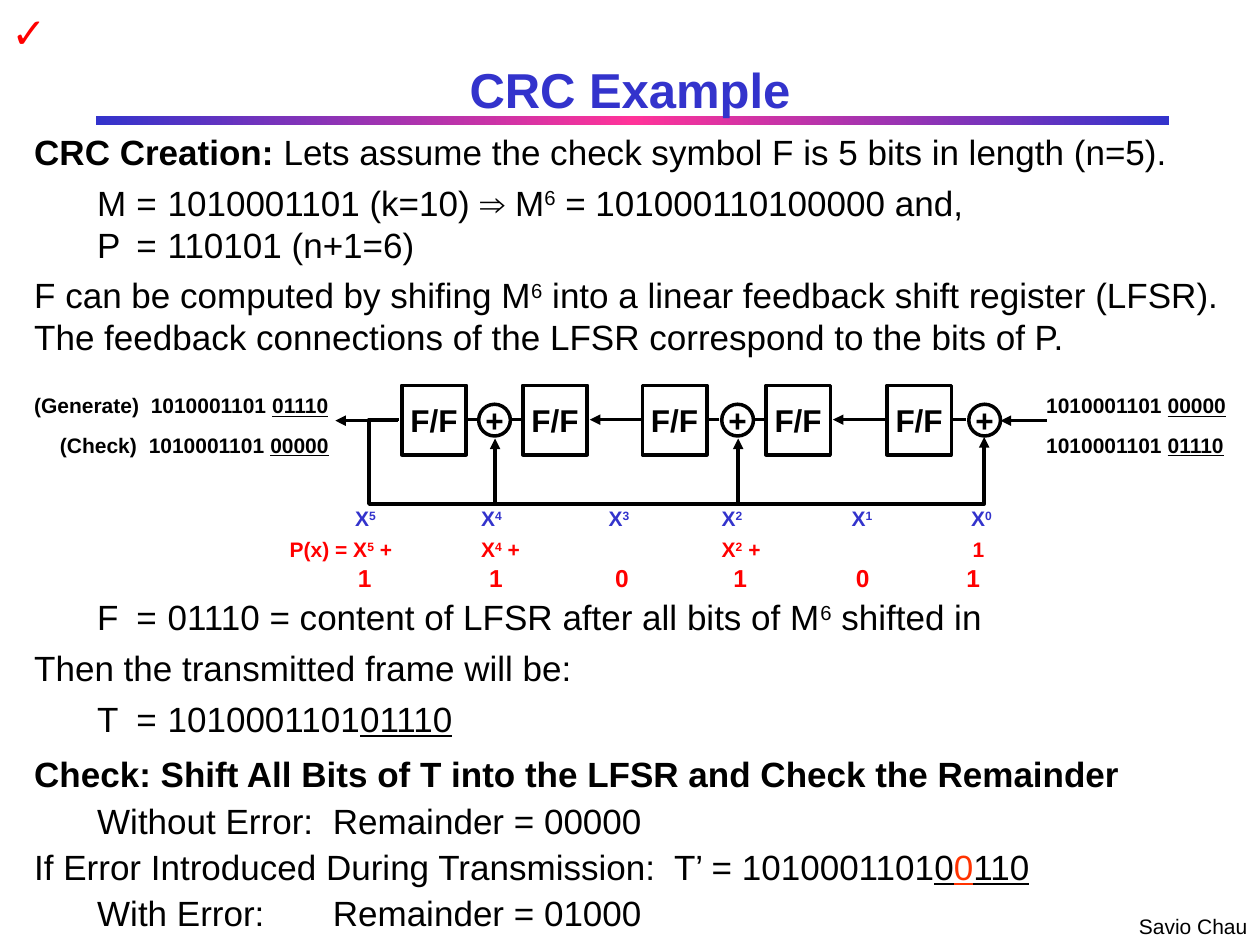
"""Build the CRC example slide with its linear feedback shift register diagram."""
from dataclasses import dataclass

from lxml import etree
from pptx import Presentation
from pptx.dml.color import RGBColor
from pptx.enum.shapes import MSO_CONNECTOR, MSO_SHAPE
from pptx.enum.text import MSO_ANCHOR, MSO_AUTO_SIZE, PP_ALIGN
from pptx.oxml.ns import qn
from pptx.util import Cm, Pt

LEFT, CENTER = PP_ALIGN.LEFT, PP_ALIGN.CENTER
TOP, MIDDLE = MSO_ANCHOR.TOP, MSO_ANCHOR.MIDDLE
FIT, FIXED = MSO_AUTO_SIZE.SHAPE_TO_FIT_TEXT, MSO_AUTO_SIZE.NONE
RECTANGLE, OVAL = MSO_SHAPE.RECTANGLE, MSO_SHAPE.OVAL
STRAIGHT = MSO_CONNECTOR.STRAIGHT


@dataclass(frozen=True)
class Theme:
    font: str = "Arial"
    ink: str = "000000"
    paper: str = "FFFFFF"
    blue: str = "3333CC"
    pink: str = "FF3399"
    red: str = "FF0000"
    error: str = "FF3300"
    title: int = 28
    tick: int = 24
    body: int = 20
    block: int = 18
    bit: int = 14
    small: int = 12


theme = Theme()


def write(paragraph, text, size=theme.small, color=theme.ink, bold=False, underline=False, raised=False):
    run = paragraph.add_run()
    run.text = text
    run.font.name = theme.font
    run.font.size = Pt(size)
    run.font.bold = bold
    run.font.underline = underline
    run.font.color.rgb = RGBColor.from_string(color)
    if raised:
        run.font._element.set("baseline", "30000")


def add_text(left, top, width, height, paragraphs, align=LEFT, anchor=TOP, wrap=False, tabs=(), leading=None, **style):
    box = slide.shapes.add_textbox(Cm(left), Cm(top), Cm(width), Cm(height))
    frame = box.text_frame
    frame.margin_left = frame.margin_right = frame.margin_top = frame.margin_bottom = 0
    frame.word_wrap = wrap
    frame.auto_size = FIXED if wrap else FIT
    frame.vertical_anchor = anchor
    for index, (before, runs) in enumerate(paragraphs):
        paragraph = frame.add_paragraph() if index else frame.paragraphs[0]
        if tabs:
            stops = etree.SubElement(paragraph._p.get_or_add_pPr(), qn("a:tabLst"))
            for stop in tabs:
                etree.SubElement(stops, qn("a:tab"), pos=str(int(Cm(stop))), algn="l")
        paragraph.alignment = align
        paragraph.space_before = Pt(before)
        if leading:
            paragraph.line_spacing = Pt(leading)
        for text, changes in runs:
            write(paragraph, text, **{**style, **changes})


presentation = Presentation()
presentation.slide_width, presentation.slide_height = Cm(25.4), Cm(19.05)
slide = presentation.slides.add_slide(presentation.slide_layouts[6])
shapes = slide.shapes

title_rule = shapes.add_shape(RECTANGLE, Cm(1.93), Cm(2.33), Cm(21.64), Cm(0.2))
title_rule.shadow.inherit = False
title_rule.line.fill.background()
title_rule.fill.gradient()
title_rule.fill.gradient_angle = 0
stop_list = title_rule._element.spPr.find(qn("a:gradFill")).find(qn("a:gsLst"))
for stop in list(stop_list):
    stop_list.remove(stop)
for position, color in ((0, theme.blue), (50000, theme.pink), (100000, theme.blue)):
    stop = etree.SubElement(stop_list, qn("a:gs"), pos=str(position))
    etree.SubElement(stop, qn("a:srgbClr"), val=color)

plain, bold, underlined, raised = {}, {"bold": True}, {"underline": True}, {"raised": True}
wrong_bit = {"underline": True, "color": theme.error}
explanation = [
    (0, [("CRC Creation: ", bold), ("Lets assume the check symbol F is 5 bits in length (n=5).", plain)]),
    (5, [("\tM\t=\t1010001101 (k=10) ", plain), ("⇒ ", bold), ("M", plain), ("6", raised),
         (" = 101000110100000 and,", plain)]),
    (0, [("\tP\t=\t110101 (n+1=6)", plain)]),
    (5, [("F can be computed by shifing M", plain), ("6", raised),
         (" into a linear feedback shift register (LFSR). "
          "The feedback connections of the LFSR correspond to the bits of P.", plain)]),
    (136, [("\tF\t=\t01110 = content of LFSR after all bits of M", plain), ("6", raised), (" shifted in", plain)]),
    (5, [("Then the transmitted frame will be:", plain)]),
    (5, [("\tT\t=\t1010001101", plain), ("01110", underlined)]),
    (7.5, [("Check: Shift All Bits of T into the LFSR and Check the Remainder", bold)]),
    (2.5, [("\tWithout Error:\tRemainder = 00000", plain)]),
    (2.5, [("If Error Introduced During Transmission:\tT’ = 1010001101", plain), ("0", underlined),
           ("0", wrong_bit), ("110", underlined)]),
    (2.5, [("\tWith Error: \tRemainder = 01000", plain)]),
]
add_text(22.96, 18.42, 2.4, 0.51, [(0, [("Savio Chau", plain)])])
add_text(0.69, 2.63, 23.98, 16.21, explanation, wrap=True, leading=24, size=theme.body,
         tabs=(1.27, 2.06, 2.69, 4.6, 6.02, 6.68, 7.62, 12.9))
add_text(2.16, 1.19, 21.08, 1.22, [(0, [("CRC Example", plain)])], align=CENTER, anchor=MIDDLE, wrap=True,
         size=theme.title, color=theme.blue, bold=True)
add_text(0.23, 0.13, 0.75, 1.02, [(0, [("✓", plain)])], size=theme.tick, color=theme.red, bold=True)

for bit, left in zip("110101", (7.21, 9.86, 12.4, 14.78, 17.25, 19.48)):
    add_text(left, 11.35, 0.28, 0.58, [(0, [(bit, plain)])], align=CENTER,
             size=theme.bit, color=theme.red, bold=True)

flip_flops = [(RECTANGLE, left, 7.77, 1.3, 1.4, "F/F") for left in (8.1, 10.54, 12.95, 15.44, 17.88)]
adders = [(OVAL, left, 8.15, 0.64, 0.64, "+") for left in (9.65, 14.55, 19.53)]
for outline, left, top, width, height, symbol in flip_flops + adders:
    block = shapes.add_shape(outline, Cm(left), Cm(top), Cm(width), Cm(height))
    block.shadow.inherit = False
    block.line.color.rgb = RGBColor.from_string(theme.ink)
    block.line.width = Pt(2)
    if outline == OVAL:
        block.fill.solid()
        block.fill.fore_color.rgb = RGBColor.from_string(theme.paper)
    else:
        block.fill.background()
    block.text_frame.word_wrap = False
    block.text_frame.vertical_anchor = MIDDLE
    block.text_frame.paragraphs[0].alignment = CENTER
    write(block.text_frame.paragraphs[0], symbol, size=theme.block, bold=True)

links = [(start, 8.46, end, 8.46, False) for start, end in
         ((9.42, 9.63), (10.31, 10.52), (14.3, 14.5), (15.21, 15.42), (19.2, 19.48))]
shifts = [(start, y, end, y, True) for start, end, y in
          ((11.89, 12.93, 8.46), (16.79, 17.86, 8.46), (20.17, 21.11, 8.48), (6.76, 8.03, 8.48))]
taps = [(x, 8.84, x, 10.13, True) for x in (9.98, 14.88)]
wires = []
for x1, y1, x2, y2, arrow in links + shifts + taps:
    wires.append((shapes.add_connector(STRAIGHT, Cm(x1), Cm(y1), Cm(x2), Cm(y2)), arrow))

feedback = shapes.build_freeform(Cm(19.84), Cm(8.81))
feedback.add_line_segments([(Cm(x), Cm(y)) for x, y in ((19.84, 10.16), (7.44, 10.16), (7.44, 8.46), (8.05, 8.46))],
                           close=False)
feedback_wire = feedback.convert_to_shape()
feedback_wire.fill.background()
wires.append((feedback_wire, True))

for wire, arrow in wires:
    wire.line.color.rgb = RGBColor.from_string(theme.ink)
    wire.line.width = Pt(2)
    if arrow:
        etree.SubElement(wire.line._get_or_add_ln(), qn("a:headEnd"), type="triangle")
    etree.SubElement(wire._element.spPr, qn("a:effectLst"))

for power, left in zip("543210", (7.16, 9.7, 12.27, 14.55, 17.17, 19.58)):
    add_text(left, 10.19, 0.5, 0.51, [(0, [("X", plain), (power, raised)])], color=theme.blue, bold=True)

terms = [
    (5.84, 2.4, [("P(x) = X", plain), ("5", raised), (" +", plain)]),
    (9.7, 0.9, [("X", plain), ("4", raised), (" +", plain)]),
    (14.55, 0.9, [("X", plain), ("2", raised), (" +", plain)]),
    (19.61, 0.3, [("1", plain)]),
]
for left, width, runs in terms:
    add_text(left, 10.82, width, 0.51, [(0, runs)], color=theme.red, bold=True)

streams = [
    (21.09, 7.92, 3.8, "", "00000", ()),
    (0.69, 7.92, 6.3, "(Generate)\t", "01110", (2.35,)),
    (21.09, 8.71, 3.8, "", "01110", ()),
    (1.21, 8.71, 5.78, "(Check)\t", "00000", (1.79,)),
]
for left, top, width, mode, check_bits, tabs in streams:
    add_text(left, top, width, 0.51, [(0, [(mode + "1010001101 ", plain), (check_bits, underlined)])],
             anchor=MIDDLE, tabs=tabs, bold=True)

presentation.save("out.pptx")
